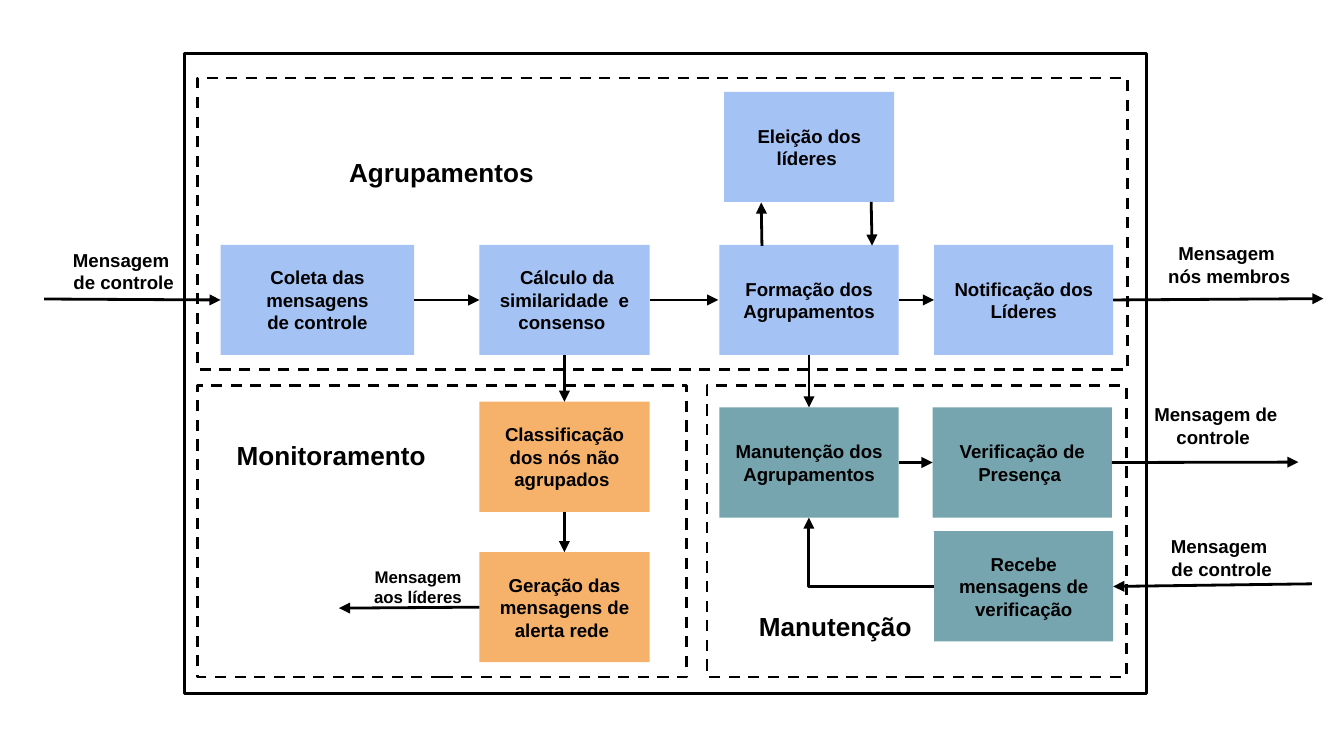
"""Draw the message flow between the grouping, monitoring and maintenance modules."""
import pptx
import pptx.dml.color
import pptx.enum.dml
import pptx.enum.shapes
import pptx.enum.text
import pptx.oxml
import pptx.oxml.ns
import pptx.util

Pt = pptx.util.Pt
RGBColor = pptx.dml.color.RGBColor
Anchor = pptx.enum.text.MSO_ANCHOR
Connector = pptx.enum.shapes.MSO_CONNECTOR

BLACK = RGBColor(0x00, 0x00, 0x00)
BLUE = RGBColor(0xA4, 0xC2, 0xF4)
ORANGE = RGBColor(0xF6, 0xB2, 0x6B)
TEAL = RGBColor(0x76, 0xA5, 0xAF)

FONT = "Arial"
STROKE = 1.5
INSET = 7.2
STEP_HEIGHT = 59
FLOW_Y = 131.2
FLOW_MIDDLE = FLOW_Y + STEP_HEIGHT / 2

FRAMES = [
    (105.8, 41.8, 498.2, 156.2),
    (105.8, 206.6, 262.1, 156.2),
    (378.7, 206.6, 224.6, 156.2),
]
STEPS = [
    (118.2, FLOW_Y, 103.7, BLUE, ["Coleta das mensagens", " de controle "]),
    (256.8, FLOW_Y, 91.2, BLUE, [" Cálculo da similaridade  e consenso "]),
    (385.4, FLOW_Y, 96, BLUE, ["Formação dos Agrupamentos"]),
    (500.4, FLOW_Y, 96, BLUE, ["Notificação dos Líderes"]),
    (387.9, 49.2, 91.2, BLUE, ["Eleição dos líderes "]),
    (256.8, 215.2, 91.2, ORANGE, ["Classificação dos nós não agrupados "]),
    (256.8, 295.8, 91.2, ORANGE, ["Geração das mensagens de alerta rede "]),
    (385.4, 218.3, 96, TEAL, ["Manutenção dos Agrupamentos"]),
    (499.6, 218.3, 96, TEAL, ["Verificação de Presença "]),
    (500.4, 284.6, 96, TEAL, ["Recebe mensagens de verificação"]),
]
ARROWS = [
    (23.6, 160.2, 118.2, FLOW_MIDDLE),
    (222, FLOW_MIDDLE, 256.8, FLOW_MIDDLE),
    (348, FLOW_MIDDLE, 384.8, FLOW_MIDDLE),
    (481.4, FLOW_MIDDLE, 500.4, FLOW_MIDDLE),
    (596.4, FLOW_MIDDLE, 709, 160),
    (408.2, 131.8, 407.8, 108.5),
    (466.7, 108.2, 467.2, 131.6),
    (302.4, 190.2, 302.4, 215.2),
    (302.4, 274.2, 302.4, 295.8),
    (433.4, 190.2, 433.4, 218.3),
    (481.4, 247.8, 499.6, 247.8),
    (595.6, 247.8, 695.6, 247.6),
    (702.8, 312.8, 596.4, 314.2),
    (256.8, 325.3, 181.6, 325.8),
]
LABELS = [
    (14.4, 126, 103.7, 33.1, 10, ["Mensagem ", "de controle"]),
    (615.6, 122.4, 85.7, 36.7, 10, ["Mensagem ", "nós membros"]),
    (603.4, 208.8, 95.8, 36.7, 10, ["Mensagem de controle "]),
    (602.6, 279.4, 103.7, 33.1, 10, ["Mensagem ", "de controle"]),
    (187.9, 296.5, 72, 36.7, 9, ["Mensagem aos líderes"]),
    (173.5, 76.3, 126, 30.2, 14, ["Agrupamentos"]),
    (384.5, 319.7, 126, 30.2, 14, ["Manutenção"]),
    (114.5, 228.2, 126, 30.2, 14, ["Monitoramento"]),
]


def write_text(box, lines, size, anchor):
    """Write centred bold lines, one paragraph each."""
    frame = box.text_frame
    frame.word_wrap = True
    frame.vertical_anchor = anchor
    frame.margin_left = frame.margin_right = Pt(INSET)
    frame.margin_top = frame.margin_bottom = Pt(INSET)
    for index, line in enumerate(lines):
        para = frame.add_paragraph() if index else frame.paragraphs[0]
        para.alignment = pptx.enum.text.PP_ALIGN.CENTER
        run = para.add_run()
        run.text = line
        run.font.name = FONT
        run.font.size = Pt(size)
        run.font.bold = True
        run.font.color.rgb = BLACK


def add_rectangle(page, left, top, width, height):
    """Add a rectangle without a shadow."""
    box = page.shapes.add_shape(
        pptx.enum.shapes.MSO_SHAPE.RECTANGLE, Pt(left), Pt(top), Pt(width), Pt(height))
    box.shadow.inherit = False
    return box


def add_frame(page, left, top, width, height, dashed=True):
    """Add an unfilled frame around a group of steps."""
    box = add_rectangle(page, left, top, width, height)
    box.fill.background()
    box.line.color.rgb = BLACK
    box.line.width = Pt(STROKE)
    if dashed:
        box.line.dash_style = pptx.enum.dml.MSO_LINE.DASH


def add_step(page, left, top, width, color, lines):
    """Add a filled process step."""
    box = add_rectangle(page, left, top, width, STEP_HEIGHT)
    box.fill.solid()
    box.fill.fore_color.rgb = color
    box.line.fill.background()
    write_text(box, lines, 10, Anchor.MIDDLE)


def add_label(page, left, top, width, height, size, lines):
    """Add a free-standing label."""
    box = page.shapes.add_textbox(Pt(left), Pt(top), Pt(width), Pt(height))
    write_text(box, lines, size, Anchor.TOP)


def add_arrow(page, x1, y1, x2, y2, kind=Connector.STRAIGHT):
    """Add a connector with a triangle at its end."""
    arrow = page.shapes.add_connector(kind, Pt(x1), Pt(y1), Pt(x2), Pt(y2))
    arrow.line.color.rgb = BLACK
    arrow.line.width = Pt(STROKE)
    line = arrow.line._get_or_add_ln()
    head = pptx.oxml.parse_xml(
        f'<a:tailEnd {pptx.oxml.ns.nsdecls("a")} type="triangle"/>')
    line.append(head)
    properties = arrow._element.spPr
    properties.append(pptx.oxml.parse_xml(f'<a:effectLst {pptx.oxml.ns.nsdecls("a")}/>'))
    return arrow


def add_corner_arrow(page, x1, y1, x2, y2):
    """Add an arrow with a single right-angle bend."""
    arrow = add_arrow(page, x1, y1, x2, y2, Connector.ELBOW)
    geometry = arrow._element.spPr.find(pptx.oxml.ns.qn("a:prstGeom"))
    geometry.set("prst", "bentConnector2")


def main():
    """Build the slide and save it."""
    deck = pptx.Presentation()
    deck.slide_width = Pt(720)
    deck.slide_height = Pt(405)
    page = deck.slides.add_slide(deck.slide_layouts[6])

    add_frame(page, 98.9, 28.8, 515.5, 342.7, dashed=False)
    for step in STEPS:
        add_step(page, *step)
    for arrow in ARROWS:
        add_arrow(page, *arrow)
    add_corner_arrow(page, 500.4, 314.1, 433.4, 277.3)
    for frame in FRAMES:
        add_frame(page, *frame)
    for label in LABELS:
        add_label(page, *label)

    deck.save("out.pptx")


if __name__ == "__main__":
    main()
